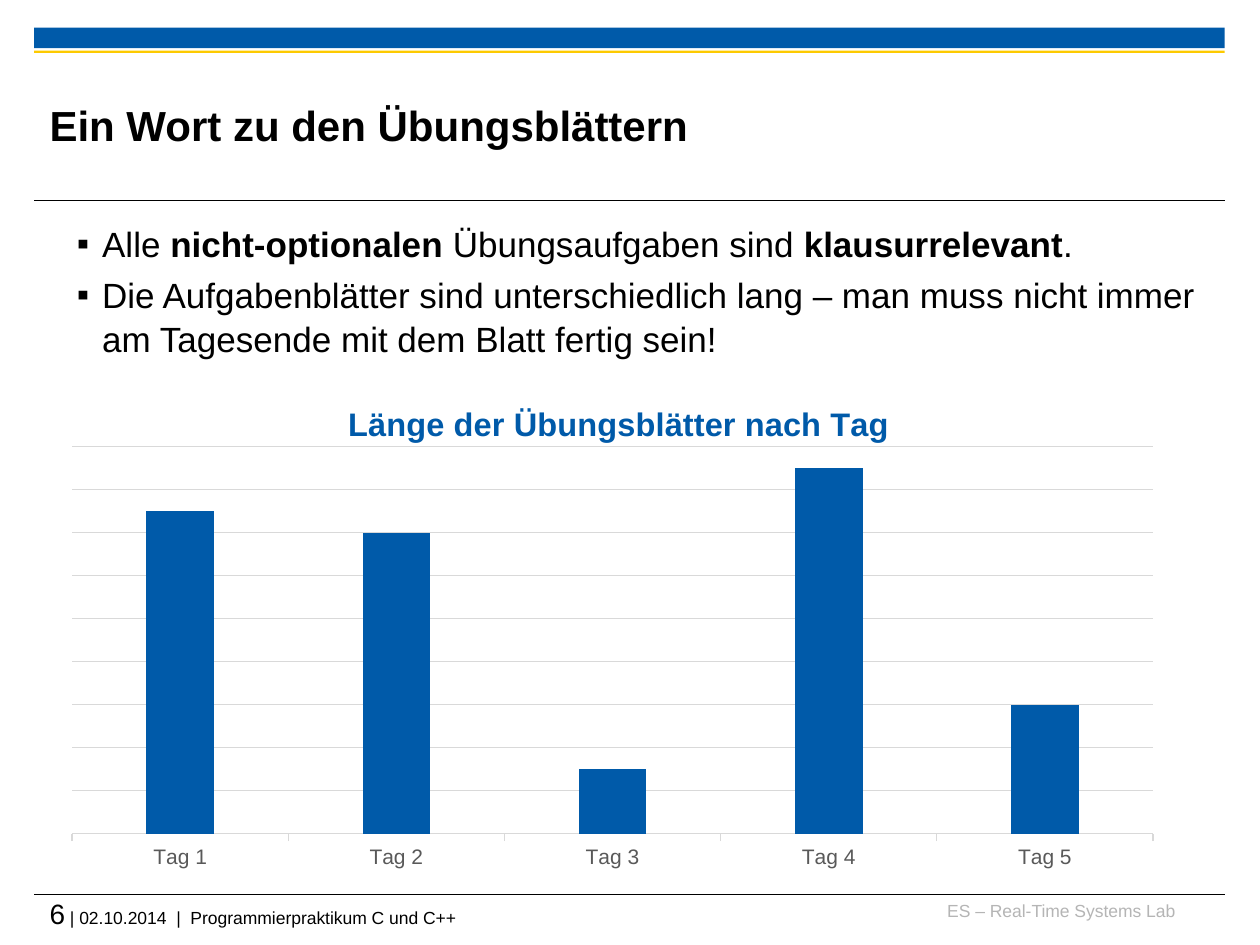
from dataclasses import dataclass

from lxml import etree
from pptx import Presentation
from pptx import util as u
from pptx.chart import data as cd
from pptx.dml.color import RGBColor
from pptx.enum import chart as ch, shapes, text
from pptx.oxml import ns


@dataclass(frozen=True)
class Theme:
    """Colours, font and type sizes of the slide."""
    font: str = "Arial"
    black: str = "000000"
    blue: str = "005AA9"
    yellow: str = "FDCA00"
    pale: str = "B5B5B5"
    grid: str = "D9D9D9"
    label: str = "595959"
    title: float = 24
    body: float = 20
    chart_title: float = 18.6
    number: float = 16
    axis: float = 12
    footer: float = 10


T = Theme()
LEFT, WIDTH = 0.69, 24


def style(font, size, color=T.black, bold=False):
    """Set face, size, colour and weight of a font."""
    font.name, font.size, font.bold = T.font, u.Pt(size), bold
    font.color.rgb = RGBColor.from_string(color)


def stroke(line, color, width):
    """Set colour and width of a line."""
    line.color.rgb = RGBColor.from_string(color)
    line.width = u.Pt(width)


def add_band(s, top, height, color):
    """Draw a filled band across the slide."""
    sp = s.shapes.add_shape(shapes.MSO_SHAPE.RECTANGLE, u.Cm(LEFT), u.Cm(top),
                            u.Cm(WIDTH), u.Cm(height))
    sp.shadow.inherit = False
    sp.fill.solid()
    sp.fill.fore_color.rgb = RGBColor.from_string(color)
    sp.line.fill.background()


def add_rule(s, top):
    """Draw a thin horizontal line across the slide."""
    sp = s.shapes.add_connector(shapes.MSO_CONNECTOR.STRAIGHT, u.Cm(LEFT), u.Cm(top),
                                u.Cm(LEFT + WIDTH), u.Cm(top))
    stroke(sp.line, T.black, 0.6)
    etree.SubElement(sp._element.spPr, ns.qn("a:effectLst"))


def add_box(s, left, top, width, height, inset=True):
    """Add a wrapping text box and return its text frame."""
    tf = s.shapes.add_textbox(u.Cm(left), u.Cm(top), u.Cm(width), u.Cm(height)).text_frame
    tf.word_wrap = True
    if not inset:
        tf.margin_left = tf.margin_right = tf.margin_top = tf.margin_bottom = 0
    return tf


def add_run(p, words, size, color=T.black, bold=False):
    """Append a formatted run to a paragraph."""
    r = p.add_run()
    r.text = words
    style(r.font, size, color, bold)


def add_bullets(tf, items):
    """Fill a text frame with bulleted paragraphs of (words, bold) runs."""
    for i, item in enumerate(items):
        p = tf.add_paragraph() if i else tf.paragraphs[0]
        p.line_spacing = 1.05
        if i:
            p.space_before = u.Pt(0.2 * T.body)
        pr = p._p.get_or_add_pPr()
        pr.set("marL", str(u.Cm(0.51)))
        pr.set("indent", str(-u.Cm(0.51)))
        etree.SubElement(pr, ns.qn("a:buFont"), typeface=T.font)
        etree.SubElement(pr, ns.qn("a:buChar"), char="▪")
        for words, bold in item:
            add_run(p, words, T.body, bold=bold)


def make_layout(**places):
    """Build a manual chart layout from fractions of the chart area."""
    layout = etree.Element(ns.qn("c:layout"))
    manual = etree.SubElement(layout, ns.qn("c:manualLayout"))
    if "w" in places:
        etree.SubElement(manual, ns.qn("c:layoutTarget"), val="inner")
    for axis in "xy":
        etree.SubElement(manual, ns.qn(f"c:{axis}Mode"), val="edge")
    for name, value in places.items():
        etree.SubElement(manual, ns.qn(f"c:{name}"), val=str(value))
    return layout


def place(parent, index, layout):
    """Put a layout into a chart part in place of any present one."""
    for old in parent.findall(ns.qn("c:layout")):
        parent.remove(old)
    parent.insert(index, layout)


def add_length_chart(s):
    """Add the column chart of sheet lengths by day."""
    data = cd.CategoryChartData()
    data.categories = [f"Tag {day}" for day in range(1, 6)]
    data.add_series("Series 1", (7.5, 7, 1.5, 8.5, 3))
    chart = s.shapes.add_chart(ch.XL_CHART_TYPE.COLUMN_CLUSTERED, u.Cm(1), u.Cm(7.47),
                               u.Cm(22.7), u.Cm(10.26), data).chart
    style(chart.font, T.footer)
    chart.has_legend = False

    tf = chart.chart_title.text_frame
    tf.text = "Länge der Übungsblätter nach Tag"
    style(tf.paragraphs[0].runs[0].font, T.chart_title, T.blue, True)
    place(chart.chart_title._element, 1, make_layout(x=0.26, y=0.05))
    place(chart._chartSpace.chart.plotArea, 0, make_layout(x=0.02, y=0.15, w=0.96, h=0.76))

    plot = chart.plots[0]
    plot.gap_width, plot.overlap, plot.vary_by_categories = 219, -27, False
    fill = plot.series[0].format.fill
    fill.solid()
    fill.fore_color.rgb = RGBColor.from_string(T.blue)

    days, lengths = chart.category_axis, chart.value_axis
    style(days.tick_labels.font, T.axis, T.label)
    days.major_tick_mark = ch.XL_TICK_MARK.OUTSIDE
    stroke(days.format.line, T.grid, 0.75)
    lengths.visible = False
    lengths.minimum_scale, lengths.maximum_scale, lengths.major_unit = 0, 9, 1
    lengths.has_major_gridlines = True
    stroke(lengths.major_gridlines.format.line, T.grid, 0.75)


def add_footer(s):
    """Add the lab name, page number, date and course."""
    p = add_box(s, 18.69, 18.14, 5, 0.64, inset=False).paragraphs[0]
    p.alignment = text.PP_ALIGN.RIGHT
    add_run(p, "ES – Real-Time Systems Lab", T.footer, T.pale)
    p = add_box(s, 1, 18.08, 23.7, 0.84, inset=False).paragraphs[0]
    add_run(p, "6", T.number)
    add_run(p, " | 02.10.2014  |  Programmierpraktikum C und C++", T.footer)


def main():
    """Build and save the slide."""
    prs = Presentation()
    prs.slide_width, prs.slide_height = u.Cm(25.4), u.Cm(19.05)
    s = prs.slides.add_slide(prs.slide_layouts[6])
    add_band(s, 0.56, 0.41, T.blue)
    add_band(s, 1.02, 0.05, T.yellow)
    for top in (4.04, 18.03):
        add_rule(s, top)
    add_footer(s)
    tf = add_box(s, 1, 1.35, 19.1, 2.34, inset=False)
    tf.vertical_anchor = text.MSO_ANCHOR.MIDDLE
    add_run(tf.paragraphs[0], "Ein Wort zu den Übungsblättern", T.title, bold=True)
    add_bullets(add_box(s, 1.3, 4.32, 23.4, 11.2), [
        [("Alle ", False), ("nicht-optionalen", True), (" Übungsaufgaben sind ", False),
         ("klausurrelevant", True), (".", False)],
        [("Die Aufgabenblätter sind unterschiedlich lang – man muss nicht immer "
          "am Tagesende mit dem Blatt fertig sein!", False)],
    ])
    add_length_chart(s)
    prs.save("out.pptx")


if __name__ == "__main__":
    main()
